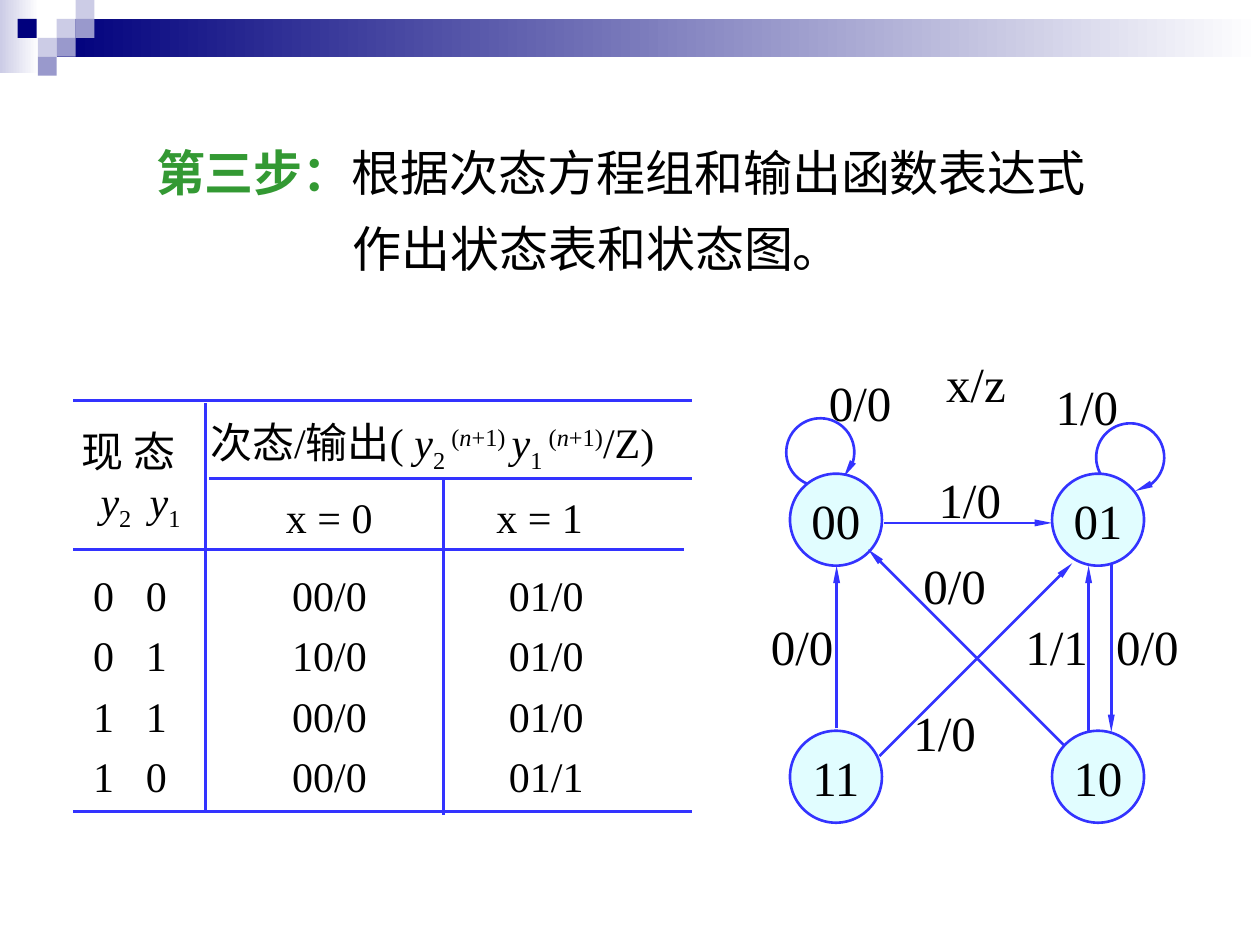
from dataclasses import dataclass
from math import cos, radians, sin
from typing import NamedTuple

from lxml import etree
from pptx import Presentation
from pptx.dml.color import RGBColor
from pptx.enum.shapes import MSO_CONNECTOR, MSO_SHAPE
from pptx.enum.text import MSO_ANCHOR, PP_ALIGN
from pptx.oxml.ns import qn
from pptx.util import Inches, Pt

RECT = MSO_SHAPE.RECTANGLE
OVAL = MSO_SHAPE.OVAL
STRAIGHT = MSO_CONNECTOR.STRAIGHT
MIDDLE = MSO_ANCHOR.MIDDLE
CENTER = PP_ALIGN.CENTER

NAVY = RGBColor(0x00, 0x00, 0x7D)
LILAC = RGBColor(0xCC, 0xCC, 0xE6)
MAUVE = RGBColor(0x99, 0x99, 0xCC)
WHITE = RGBColor(0xFF, 0xFF, 0xFF)
BLACK = RGBColor(0x00, 0x00, 0x00)
GREEN = RGBColor(0x33, 0x99, 0x33)
BLUE = RGBColor(0x33, 0x33, 0xFF)
CYAN = RGBColor(0xE1, 0xFD, 0xFF)
FONT = "Times New Roman"
STROKE = Pt(1.5)
SUB, SUP = -25, 30
NODE = 0.73


class Span(NamedTuple):
    text: str
    base: int = 0
    italic: bool = False
    bold: bool = False
    color: RGBColor = BLACK


@dataclass
class Block:
    x: float
    y: float
    w: float
    h: float
    lines: list[list[Span]]
    size: int = 24
    space: float = 1.0
    tabs: tuple[float, ...] = ()
    hang: float = 0


class Edge(NamedTuple):
    x1: float
    y1: float
    x2: float
    y2: float


class Loop(NamedTuple):
    x: float
    y: float
    start: int
    end: int


class Tile(NamedTuple):
    x: float
    y: float
    w: float
    h: float
    color: RGBColor
    fade: bool = False


def add_spans(para, spans: list[Span], size: int) -> None:
    for span in spans:
        run = para.add_run()
        run.text = span.text
        font = run.font
        font.name, font.size = FONT, Pt(size)
        font.bold, font.italic = span.bold, span.italic
        font.color.rgb = span.color
        if span.base:
            run._r.get_or_add_rPr().set("baseline", str(span.base * 1000))


def add_block(slide, block: Block) -> None:
    box = slide.shapes.add_textbox(*map(Inches, (block.x, block.y, block.w, block.h)))
    frame = box.text_frame
    frame.word_wrap = True
    for i, spans in enumerate(block.lines):
        para = frame.add_paragraph() if i else frame.paragraphs[0]
        para.line_spacing = block.space
        props = para._p.get_or_add_pPr()
        if block.hang:
            props.set("marL", str(Inches(block.hang)))
            props.set("indent", str(-Inches(block.hang)))
        if block.tabs:
            stops = etree.SubElement(props, qn("a:tabLst"))
            for pos in block.tabs:
                etree.SubElement(stops, qn("a:tab"), pos=str(Inches(pos)), algn="l")
        add_spans(para, spans, block.size)


def add_tile(slide, tile: Tile) -> None:
    shape = slide.shapes.add_shape(RECT, *map(Inches, tile[:4]))
    shape.shadow.inherit = False
    shape.line.fill.background()
    if tile.fade:
        shape.fill.gradient()
        shape.fill.gradient_angle = 0
        for stop, color in zip(shape.fill.gradient_stops, (tile.color, WHITE)):
            stop.color.rgb = color
    else:
        shape.fill.solid()
        shape.fill.fore_color.rgb = tile.color


def set_line(shape, arrow: bool = False) -> None:
    shape.line.color.rgb = BLUE
    shape.line.width = STROKE
    if arrow:
        etree.SubElement(shape.line._get_or_add_ln(), qn("a:tailEnd"),
                         type="triangle", w="sm", len="lg")


def add_edge(slide, edge: Edge, arrow: bool = False) -> None:
    line = slide.shapes.add_connector(STRAIGHT, *map(Inches, edge))
    set_line(line, arrow)
    etree.SubElement(line._element.spPr, qn("a:effectLst"))


def add_loop(slide, loop: Loop, radius: float = 0.27, steps: int = 48) -> None:
    turn = (loop.end - loop.start) / steps
    angles = [radians(loop.start + turn * i) for i in range(steps + 1)]
    points = [(Inches(loop.x + radius * cos(a)), Inches(loop.y + radius * sin(a)))
              for a in angles]
    pen = slide.shapes.build_freeform(*points[0])
    pen.add_line_segments(points[1:], close=False)
    shape = pen.convert_to_shape()
    shape.shadow.inherit = False
    shape.fill.background()
    set_line(shape, True)


def add_node(slide, x: float, y: float, name: str) -> None:
    shape = slide.shapes.add_shape(OVAL, *map(Inches, (x, y, NODE, NODE)))
    shape.shadow.inherit = False
    shape.fill.solid()
    shape.fill.fore_color.rgb = CYAN
    set_line(shape)
    frame = shape.text_frame
    frame.word_wrap = False
    frame.vertical_anchor = MIDDLE
    para = frame.paragraphs[0]
    para.alignment = CENTER
    add_spans(para, [Span(name)], 28)


def rows(*texts: str) -> list[list[Span]]:
    return [[Span(text)] for text in texts]


def var(index: str) -> list[Span]:
    return [Span("y", italic=True), Span(index, SUB)]


def next_var(index: str, tail: str) -> list[Span]:
    return var(index) + [Span("(", SUP), Span("n", SUP, True), Span(tail, SUP)]


TILES = [Tile(0, 0, 0.31, 0.58, LILAC, True), Tile(0.45, 0.15, 9.55, 0.3, NAVY, True)]
TILES += [Tile(x, y, 0.15, 0.15, color) for x, y, color in (
    (0.45, 0.15, LILAC), (0.6, 0, LILAC), (0.6, 0.15, MAUVE), (0.3, 0.3, LILAC),
    (0.14, 0.15, NAVY), (0.45, 0.3, MAUVE), (0.3, 0.45, MAUVE))]

TITLE = [Span("第三步：", bold=True, color=GREEN),
         Span("根据次态方程组和输出函数表达式作出状态表和状态图。")]
HEAD = [Span("次态/输出( "), *next_var("2 ", "+1) "), *next_var("1 ", "+1)"), Span("/Z)")]
STATE = [[Span("现 态")], [Span("\t"), *var("2"), Span("\t"), *var("1")]]
BLOCKS = [
    Block(1.14, 0.94, 7.79, 1.32, [TITLE], 28, 1.3, hang=1.56),
    Block(1.57, 3.26, 3.98, 0.56, [HEAD]),
    Block(0.55, 3.37, 1.1, 0.87, STATE, space=0.9, tabs=(0.15, 0.54)),
    Block(0.64, 4.39, 0.9, 2.02, rows("0\t0", "0\t1", "1\t1", "1\t0"),
          space=1.2, tabs=(0.42,)),
    Block(2.17, 3.85, 0.95, 0.5, rows("x = 0")),
    Block(3.84, 3.85, 0.95, 0.5, rows("x = 1")),
    Block(2.22, 4.39, 0.85, 2.02, rows("00/0", "10/0", "00/0", "00/0"), space=1.2),
    Block(3.94, 4.39, 0.85, 2.02, rows("01/0", "01/0", "01/0", "01/1"), space=1.2),
]
RULES = [Edge(0.58, 3.18, 5.49, 3.18), Edge(0.58, 4.36, 5.43, 4.36),
         Edge(0.58, 6.44, 5.49, 6.44), Edge(1.63, 3.2, 1.63, 6.44),
         Edge(3.52, 3.8, 3.52, 6.47), Edge(1.66, 3.8, 5.49, 3.8)]
NODES = [(6.27, 3.76, "00"), (8.35, 3.76, "01"), (8.35, 5.8, "10"), (6.27, 5.8, "11")]
EDGES = [Edge(7.02, 4.15, 8.35, 4.15), Edge(6.64, 5.78, 6.64, 4.49),
         Edge(6.98, 6, 8.51, 4.47), Edge(8.45, 5.92, 6.89, 4.36),
         Edge(8.64, 5.81, 8.64, 4.49), Edge(8.82, 4.47, 8.82, 5.81)]
LOOPS = [Loop(8.97, 3.63, 148, 441), Loop(6.51, 3.59, 112, 406)]
LABELS = [(7.35, 3.68, "1/0"), (7.41, 2.76, "x/z"), (7.23, 4.36, "0/0"),
          (8.76, 4.84, "0/0"), (6.02, 4.84, "0/0"), (7.15, 5.53, "1/0"),
          (8.04, 4.84, "1/1"), (6.48, 2.91, "0/0"), (8.28, 2.94, "1/0")]


def main() -> None:
    deck = Presentation()
    deck.slide_width, deck.slide_height = Inches(10), Inches(7.5)
    slide = deck.slides.add_slide(deck.slide_layouts[6])
    for tile in TILES:
        add_tile(slide, tile)
    for block in BLOCKS:
        add_block(slide, block)
    for rule in RULES:
        add_edge(slide, rule)
    for loop in LOOPS:
        add_loop(slide, loop)
    for node in NODES:
        add_node(slide, *node)
    for edge in EDGES:
        add_edge(slide, edge, True)
    for x, y, text in LABELS:
        add_block(slide, Block(x, y, 0.75, 0.57, rows(text), 28))
    deck.save("out.pptx")


if __name__ == "__main__":
    main()
